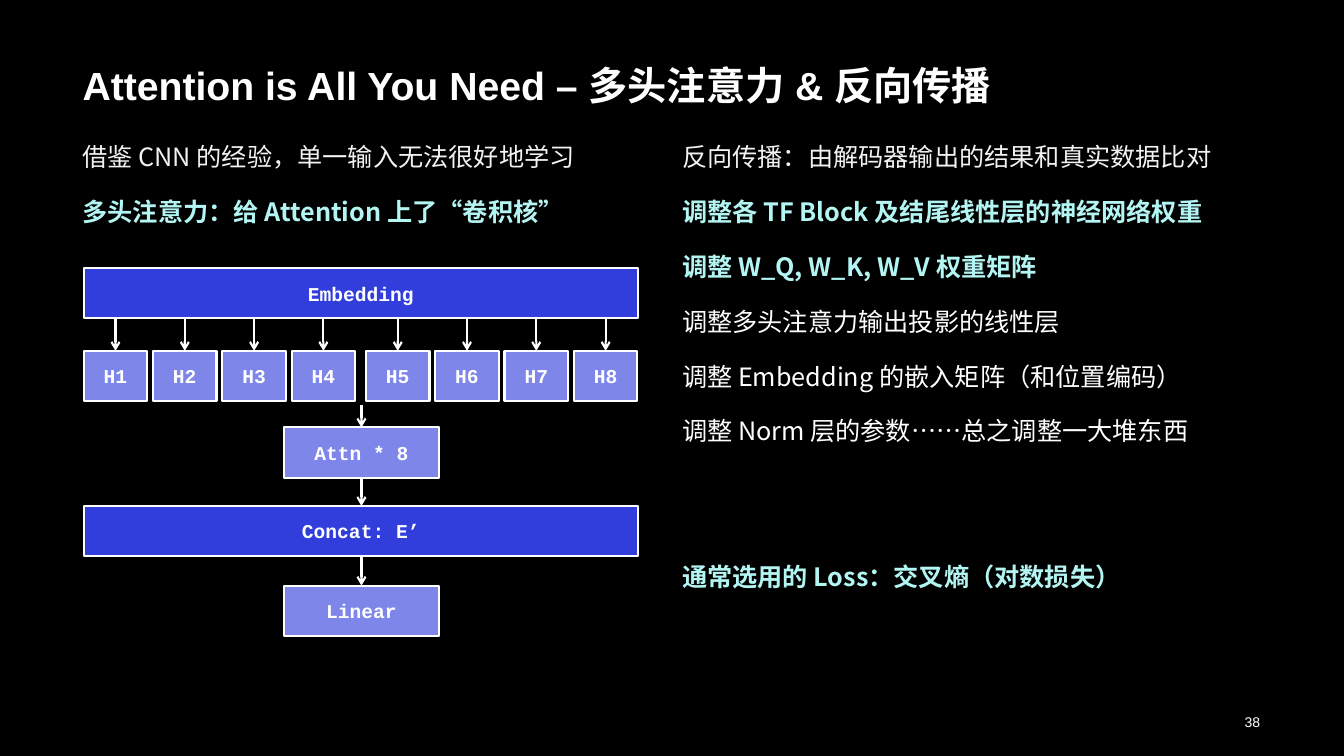
from dataclasses import dataclass

from lxml.etree import SubElement
from pptx import Presentation
from pptx.dml.color import RGBColor
from pptx.enum.shapes import MSO_CONNECTOR, MSO_SHAPE
from pptx.enum.text import MSO_ANCHOR, MSO_AUTO_SIZE, PP_ALIGN
from pptx.oxml.ns import qn
from pptx.util import Pt

TITLE = "Attention is All You Need – 多头注意力 & 反向传播"
PAGE_NUMBER = "38"

# Each line: text, style, space before
ATTENTION_LINES = [
    ("借鉴 CNN 的经验，单一输入无法很好地学习", "soft", 0),
    ("多头注意力：给 Attention 上了“卷积核”", "accent", 19.7),
]
BACKPROPAGATION_LINES = [
    ("反向传播：由解码器输出的结果和真实数据比对", "soft", 0),
    ("调整各 TF Block 及结尾线性层的神经网络权重", "accent", 19.7),
    ("调整 W_Q, W_K, W_V 权重矩阵", "accent", 19.7),
    ("调整多头注意力输出投影的线性层", "plain", 19.7),
    ("调整 Embedding 的嵌入矩阵（和位置编码）", "plain", 19.7),
    ("调整 Norm 层的参数……总之调整一大堆东西", "plain", 19.7),
    ("通常选用的 Loss：交叉熵（对数损失）", "accent", 84.4),
]
HEADS = [f"H{number}" for number in range(1, 9)]


@dataclass(frozen=True)
class Theme:
    background: str = "000000"
    white: str = "FFFFFF"
    soft: str = "F2F2F2"
    accent: str = "B3F5F2"
    bar: str = "313EDC"
    block: str = "7E86E9"
    title_font: str = "Arial"
    body_font: str = "Noto Sans CJK SC"
    code_font: str = "Courier New"
    title_size: int = 28
    body_size: int = 18
    code_size: int = 14
    page_size: int = 10
    line_width: float = 1.5


THEME = Theme()
LINE_STYLES = {
    "soft": {"color": THEME.soft},
    "accent": {"color": THEME.accent, "bold": True},
    "plain": {"color": THEME.white},
}

# Diagram geometry in points
LEFT, BAR_WIDTH, BOX_HEIGHT = 59.8, 396, 36
HEAD_WIDTH, HEAD_PITCH, GROUP_SIZE, GROUP_GAP = 45.4, 49.5, 4, 3.6
BLOCK_WIDTH = 110.2
CENTER = LEFT + BAR_WIDTH / 2 + 0.4
EMBEDDING_TOP, HEADS_TOP = 191.5, 250.6
ATTENTION_TOP, CONCAT_TOP, LINEAR_TOP = 305.3, 361.4, 418.3
HEADS_ARROW_GAP = 2.8


def write(paragraph, text, *, font, size, color, bold=False,
          align=PP_ALIGN.LEFT, space_before=0, line_spacing=None):
    """Fill a paragraph with one formatted, unbulleted run."""
    properties = paragraph._p.get_or_add_pPr()
    properties.set("marL", "0")
    properties.set("indent", "0")
    SubElement(properties, qn("a:buNone"))
    paragraph.alignment = align
    paragraph.space_before = Pt(space_before)
    if line_spacing:
        paragraph.line_spacing = line_spacing
    run = paragraph.add_run()
    run.text = text
    run.font.name = font
    run.font.size = Pt(size)
    run.font.bold = bold
    run.font.color.rgb = RGBColor.from_string(color)
    SubElement(run._r.get_or_add_rPr(), qn("a:ea"), typeface=font)


def place(shape, left, top, width, height):
    shape.left, shape.top = Pt(left), Pt(top)
    shape.width, shape.height = Pt(width), Pt(height)


def fill_body(placeholder, lines, left, height):
    place(placeholder, left, 100.1, 404.6, height)
    frame = placeholder.text_frame
    frame.auto_size = MSO_AUTO_SIZE.NONE
    for index, (text, style, space_before) in enumerate(lines):
        paragraph = frame.add_paragraph() if index else frame.paragraphs[0]
        write(paragraph, text, font=THEME.body_font, size=THEME.body_size,
              space_before=space_before, line_spacing=0.9, **LINE_STYLES[style])


def add_box(slide, text, left, top, width, fill):
    shape = slide.shapes.add_shape(
        MSO_SHAPE.RECTANGLE, Pt(left), Pt(top), Pt(width), Pt(BOX_HEIGHT))
    shape.shadow.inherit = False
    shape.fill.solid()
    shape.fill.fore_color.rgb = RGBColor.from_string(fill)
    shape.line.color.rgb = RGBColor.from_string(THEME.white)
    shape.line.width = Pt(THEME.line_width)
    shape.text_frame.vertical_anchor = MSO_ANCHOR.MIDDLE
    write(shape.text_frame.paragraphs[0], text, font=THEME.code_font,
          size=THEME.code_size, color=THEME.white, bold=True,
          align=PP_ALIGN.CENTER)


def add_down_arrow(slide, x, top, bottom):
    connector = slide.shapes.add_connector(
        MSO_CONNECTOR.STRAIGHT, Pt(x), Pt(top), Pt(x), Pt(bottom))
    connector.line.color.rgb = RGBColor.from_string(THEME.white)
    connector.line.width = Pt(THEME.line_width)
    SubElement(connector.line._get_or_add_ln(), qn("a:tailEnd"), type="arrow")
    SubElement(connector._element.spPr, qn("a:effectLst"))


def add_diagram(slide):
    add_box(slide, "Embedding", LEFT, EMBEDDING_TOP, BAR_WIDTH, THEME.bar)
    for index, head in enumerate(HEADS):
        left = LEFT + index * HEAD_PITCH + index // GROUP_SIZE * GROUP_GAP
        add_box(slide, head, left, HEADS_TOP, HEAD_WIDTH, THEME.block)
        add_down_arrow(slide, left + HEAD_WIDTH / 2,
                       EMBEDDING_TOP + BOX_HEIGHT, HEADS_TOP)

    block_left = CENTER - BLOCK_WIDTH / 2
    add_box(slide, "Attn * 8", block_left, ATTENTION_TOP, BLOCK_WIDTH, THEME.block)
    add_box(slide, "Concat: E’", LEFT, CONCAT_TOP, BAR_WIDTH, THEME.bar)
    add_box(slide, "Linear", block_left, LINEAR_TOP, BLOCK_WIDTH, THEME.block)
    for box_top, gap, next_top in [
        (HEADS_TOP, HEADS_ARROW_GAP, ATTENTION_TOP),
        (ATTENTION_TOP, 0, CONCAT_TOP),
        (CONCAT_TOP, 0, LINEAR_TOP),
    ]:
        add_down_arrow(slide, CENTER, box_top + BOX_HEIGHT + gap, next_top)


def main():
    presentation = Presentation()
    presentation.slide_width, presentation.slide_height = Pt(960), Pt(540)
    two_content_layout = presentation.slide_layouts[3]
    slide = presentation.slides.add_slide(two_content_layout)
    slide.background.fill.solid()
    slide.background.fill.fore_color.rgb = RGBColor.from_string(THEME.background)

    title, attention, backpropagation = slide.placeholders
    place(title, 51.8, 10.1, 855.4, 70.6)
    title.text_frame.auto_size = MSO_AUTO_SIZE.NONE
    title.text_frame.vertical_anchor = MSO_ANCHOR.BOTTOM
    write(title.text_frame.paragraphs[0], TITLE, font=THEME.title_font,
          size=THEME.title_size, color=THEME.white, bold=True)

    fill_body(attention, ATTENTION_LINES, left=51.8, height=72.7)
    fill_body(backpropagation, BACKPROPAGATION_LINES, left=480, height=356.4)
    add_diagram(slide)

    page = slide.shapes.add_textbox(Pt(619.2), Pt(504.7), Pt(288), Pt(21.6))
    page.text_frame.word_wrap = True
    page.text_frame.vertical_anchor = MSO_ANCHOR.MIDDLE
    write(page.text_frame.paragraphs[0], PAGE_NUMBER, font=THEME.title_font,
          size=THEME.page_size, color=THEME.white, align=PP_ALIGN.RIGHT)

    presentation.save("out.pptx")


if __name__ == "__main__":
    main()
